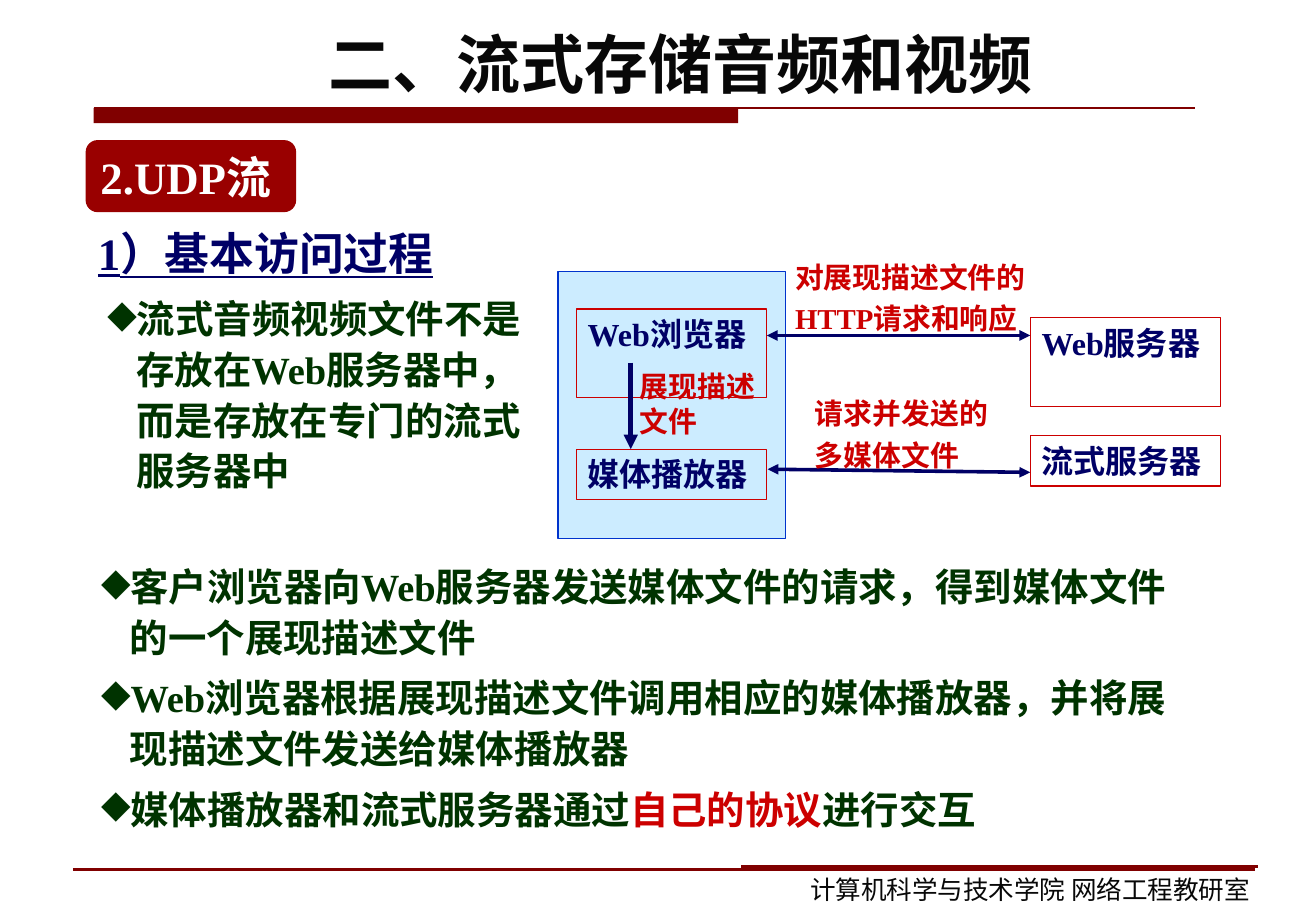
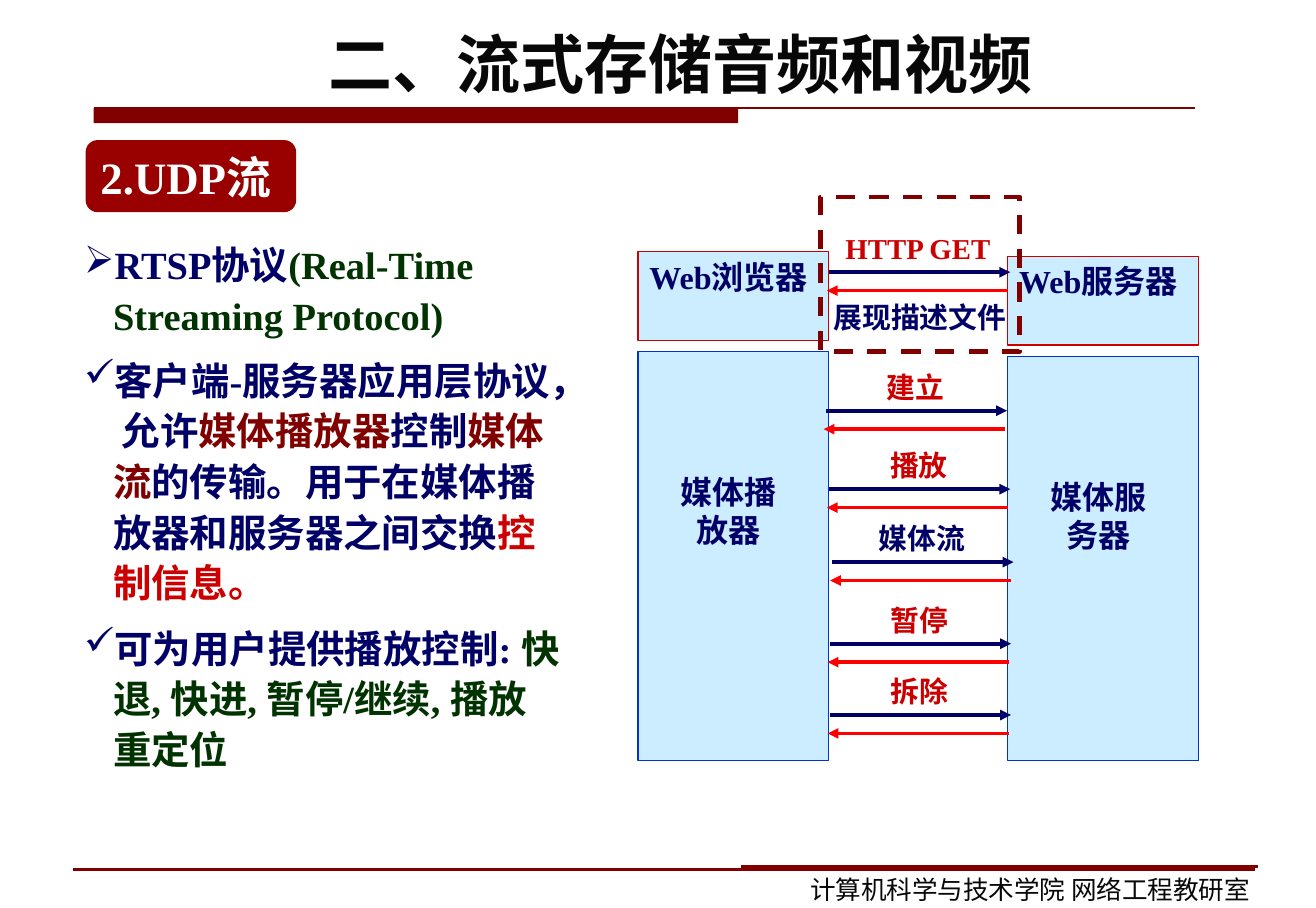
import pptx
import pptx.util
import pptx.dml.color
import pptx.enum.dml
import pptx.enum.shapes
import pptx.enum.text
import pptx.oxml.ns
import lxml.etree

Pt = pptx.util.Pt
RGB = pptx.dml.color.RGBColor.from_string
qn = pptx.oxml.ns.qn
ALIGN = pptx.enum.text.PP_ALIGN
ANCHOR = pptx.enum.text.MSO_ANCHOR
SHAPE = pptx.enum.shapes.MSO_SHAPE

C = {
    "navy": "000066", "red": "CC0000", "green": "003300", "maroon": "800000",
    "badge": "990000", "reply": "FF0000", "pale": "CCECFF", "blue": "0033CC",
    "ink": "080808", "white": "FFFFFF",
}
SERIF = "Times New Roman"


def add_box(s, at, paras=(), size=20, color="navy", kind=None, fill=None,
            border=None, width=0.75, font=SERIF, bold=True, align=ALIGN.LEFT,
            spacing=None, before=0, after=0, bullets=""):
    """Add a text box, or a preset shape if kind is given.

    Each paragraph is a list of (text, color) runs, or a plain string.
    """
    if kind is None:
        sp = s.shapes.add_textbox(*map(Pt, at))
    else:
        sp = s.shapes.add_shape(kind, *map(Pt, at))
        sp.shadow.inherit = False
        if fill:
            sp.fill.solid()
            sp.fill.fore_color.rgb = RGB(C[fill])
        else:
            sp.fill.background()
        if border:
            sp.line.color.rgb = RGB(C[border])
            sp.line.width = Pt(width)
        else:
            sp.line.fill.background()
    tf = sp.text_frame
    tf.word_wrap = True
    tf.vertical_anchor = ANCHOR.TOP
    for i, runs in enumerate(paras):
        p = tf.paragraphs[0] if i == 0 else tf.add_paragraph()
        p.alignment = align
        p.line_spacing = spacing
        p.space_before = Pt(before if i else 0)
        p.space_after = Pt(after)
        if bullets:
            pPr = p._p.get_or_add_pPr()
            pPr.set("marL", str(Pt(18)))
            pPr.set("indent", str(-Pt(18)))
            clr = lxml.etree.SubElement(pPr, qn("a:buClr"))
            lxml.etree.SubElement(clr, qn("a:srgbClr"), val=C[color])
            lxml.etree.SubElement(pPr, qn("a:buChar"), char=bullets[i])
        for text, run_color in [(runs, color)] if isinstance(runs, str) else runs:
            r = p.add_run()
            r.text = text
            r.font.name, r.font.size, r.font.bold = font, Pt(size), bold
            r.font.color.rgb = RGB(C[run_color])
    return sp


def add_line(s, x1, y1, x2, y2, color="maroon", width=2.25, ends=()):
    """Add a straight line; ends may hold headEnd and tailEnd."""
    line = s.shapes.add_connector(
        pptx.enum.shapes.MSO_CONNECTOR.STRAIGHT, Pt(x1), Pt(y1), Pt(x2), Pt(y2))
    line.line.color.rgb = RGB(C[color])
    line.line.width = Pt(width)
    ln = line.line._get_or_add_ln()
    for end in ends:
        lxml.etree.SubElement(ln, qn("a:" + end), type="triangle")
    lxml.etree.SubElement(line._element.spPr, qn("a:effectLst"))


prs = pptx.Presentation()
prs.slide_width, prs.slide_height = Pt(822), Pt(567)

# Shared title, bands, badge and footer
slides = []
for _ in range(2):
    s = prs.slides.add_slide(prs.slide_layouts[5])
    slides.append(s)
    title = s.shapes.title
    title.left, title.top, title.width, title.height = map(Pt, (48, 11, 754, 57))
    tf = title.text_frame
    tf.text = "二、流式存储音频和视频"
    tf.auto_size = pptx.enum.text.MSO_AUTO_SIZE.NONE
    tf.vertical_anchor = ANCHOR.MIDDLE
    p = tf.paragraphs[0]
    p.alignment = ALIGN.CENTER
    font = p.runs[0].font
    font.name, font.size, font.bold = SERIF, Pt(40), True
    font.color.rgb = RGB(C["ink"])

    add_box(s, (58.5, 67.5, 402.5, 9.5), kind=SHAPE.RECTANGLE, fill="maroon")
    add_line(s, 58.5, 67.5, 746.5, 67.5, width=0.75)
    add_line(s, 45.5, 543, 784, 543, width=1.5)
    add_line(s, 463, 541, 785.5, 541)
    add_box(s, (499, 542, 302, 27), ["计算机科学与技术学院 网络工程教研室"],
            size=16, color="ink", font="Arial", bold=False)
    badge = add_box(s, (53.5, 87.5, 131.5, 45), ["2.UDP流"], size=28,
                    color="white", kind=SHAPE.ROUNDED_RECTANGLE, fill="badge")
    badge.text_frame.word_wrap = False
    badge.text_frame.vertical_anchor = ANCHOR.MIDDLE

# Slide 1: basic access process
s = slides[0]
heading = add_box(s, (54, 134, 714, 45), ["1）基本访问过程"], size=28, spacing=1.1)
heading.text_frame.paragraphs[0].runs[0].font.underline = True
add_box(s, (60, 178, 284, 134),
        ["流式音频视频文件不是存放在Web服务器中，而是存放在专门的流式服务器中"],
        size=24, color="green", spacing=1.1, bullets="◆")
add_box(s, (56, 345.5, 686, 178), [
    "客户浏览器向Web服务器发送媒体文件的请求，得到媒体文件的一个展现描述文件",
    "Web浏览器根据展现描述文件调用相应的媒体播放器，并将展现描述文件发送给媒体播放器",
    [("媒体播放器和流式服务器通过", "green"), ("自己的协议", "red"),
     ("进行交互", "green")],
], size=24, color="green", spacing=1.1, before=6, bullets="◆◆◆")

# Client panel and the four programs
add_box(s, (348.5, 169.5, 142, 167), kind=SHAPE.RECTANGLE, fill="pale", border="blue")
for name, x, y, h in [("Web浏览器", 360, 193, 55.5), ("媒体播放器", 360, 280.5, 31.5),
                      ("Web服务器", 643.5, 198.5, 55.5), ("流式服务器", 643.5, 272, 31.5)]:
    add_box(s, (x, y, 119, h), [name], kind=SHAPE.RECTANGLE, border="red")

# Messages between them
both = ("headEnd", "tailEnd")
add_line(s, 394, 226.5, 394, 280.5, "navy", 3, ("tailEnd",))
add_line(s, 479, 209.5, 643.5, 209.5, "navy", ends=both)
add_line(s, 479.5, 293, 643.5, 295, "navy", ends=both)
for text, at, spacing in [
        ("展现描述文件", (392.5, 227, 102, 50), None),
        ("对展现描述文件的HTTP请求和响应", (489.5, 154, 168, 59), 1.2),
        ("请求并发送的多媒体文件", (502, 239.5, 136, 59), 1.2)]:
    add_box(s, at, [text], size=18, color="red", spacing=spacing)

# Slide 2: RTSP
s = slides[1]
add_box(s, (45.5, 144, 314.5, 342), [
    [("RTSP协议", "navy"), ("(Real-Time Streaming Protocol)", "green")],
    [("客户端-服务器应用层协议， 允许", "navy"), ("媒体播放器", "maroon"),
     ("控制", "navy"), ("媒体流", "maroon"),
     ("的传输。用于在媒体播放器和服务器之间交换", "navy"), ("控制信息。", "red")],
    [("可为用户提供播放控制: ", "navy"),
     ("快退, 快进, 暂停/继续, 播放重定位", "green")],
], size=24, spacing=1.1, before=6, after=3, bullets="➢✓✓")

# Client and server columns
for x, y, web, media in [(398.5, 157, "Web浏览器", "媒体播放器"),
                         (629.5, 160, "Web服务器", "媒体服务器")]:
    add_box(s, (x, y + 62.5, 119, 412.5 - y + -0.0), kind=SHAPE.RECTANGLE,
            fill="pale", border="blue")
    add_box(s, (x, y, 119, 55.5), [web], kind=SHAPE.RECTANGLE, fill="pale", border="red")
    add_box(s, (x + 17, y + 134.5, 79, 55.5), [media], align=ALIGN.CENTER)

# Request and reply pairs
for text, x, y, color, align in [
        ("HTTP GET", 518, 170, "red", ALIGN.LEFT),
        ("建立 ", 516, 256.5, "red", ALIGN.CENTER),
        ("播放 ", 518, 305.5, "red", ALIGN.CENTER),
        ("媒体流 ", 520, 351, "navy", ALIGN.CENTER),
        ("暂停 ", 518.5, 402, "red", ALIGN.CENTER),
        ("拆除 ", 518.5, 446.5, "red", ALIGN.CENTER)]:
    add_line(s, x, y, x + 113, y, "navy", ends=("tailEnd",))
    add_line(s, x - 1.5, y + 11.5, x + 111.5, y + 11.5, "reply", ends=("headEnd",))
    add_box(s, (x + 3, y - 29.5, 110, 29), [text], size=18, color=color, align=align)
add_box(s, (513.5, 183.5, 136, 29), ["展现描述文件"], size=18)

# Dashed frame around the HTTP exchange
frame = add_box(s, (512.5, 123, 124.5, 96.5), kind=SHAPE.RECTANGLE,
                border="maroon", width=3)
frame.line.dash_style = pptx.enum.dml.MSO_LINE.DASH

prs.save("out.pptx")
